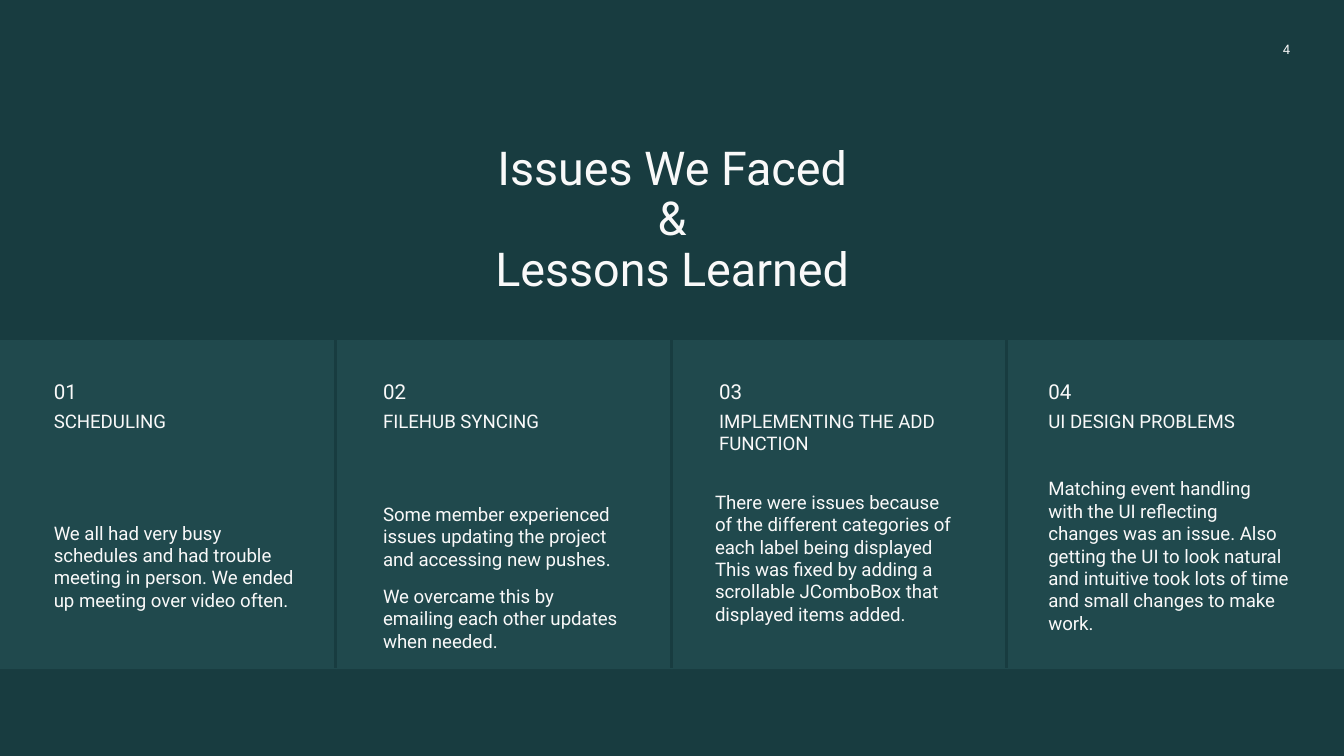
from pptx import Presentation
from pptx.dml.color import RGBColor
from pptx.enum.shapes import MSO_CONNECTOR as Link, MSO_SHAPE as Shape
from pptx.enum.text import MSO_ANCHOR as Anchor, PP_ALIGN as Align
from pptx.oxml.ns import qn
from pptx.util import Inches, Pt
from lxml.etree import SubElement

DARK = RGBColor(0x18, 0x3C, 0x40)
TEAL = RGBColor(0x20, 0x49, 0x4D)
WHITE = RGBColor(0xF9, 0xF9, 0xF9)
WIDE = 10
HIGH = WIDE * 9 / 16
TOP, TALL = 2.53, 2.45
PANEL = 2.51
STEP = (WIDE - PANEL) / 3
TEXT = 1.79
TITLE = ["Issues We Faced", "&", "Lessons Learned"]
ITEMS = [
    ("SCHEDULING", 0.4, 0.4, 3.88,
     ["We all had very busy schedules and had trouble meeting in person. "
      "We ended up meeting over video often."]),
    ("FILEHUB SYNCING", 2.85, 2.85, 3.74,
     ["Some member experienced issues updating the project and accessing new pushes.",
      "We overcame this by emailing each other updates when needed."]),
    ("IMPLEMENTING THE ADD FUNCTION", 5.35, 5.32, 3.65,
     ["There were issues because of the different categories of each label being "
      "displayed This was fixed by adding a scrollable JComboBox that displayed items added."]),
    ("UI DESIGN PROBLEMS", 7.8, 7.8, 3.55,
     ["Matching event handling with the UI reflecting changes was an issue. Also getting "
      "the UI to look natural and intuitive took lots of time and small changes to make work."]),
]


def add_text(slide, box, lines, size, align=Align.LEFT, anchor=Anchor.TOP, lead=1.0, gap=0):
    """Add a text box without margins, one paragraph per line."""
    frame = slide.shapes.add_textbox(*map(Inches, box)).text_frame
    frame.word_wrap = True
    frame.vertical_anchor = anchor
    frame.margin_left = frame.margin_right = frame.margin_top = frame.margin_bottom = 0
    frame.text = "\n".join(lines)
    for i, par in enumerate(frame.paragraphs):
        par.alignment, par.line_spacing = align, lead
        par.space_before = Pt(gap if i else 0)
        par.space_after = Pt(gap if i == len(lines) - 1 else 0)
        par.font.name, par.font.size = "Roboto", Pt(size)
        par.font.color.rgb = WHITE


def add_panel(slide, col):
    """Add the background panel of one column."""
    box = (col * STEP, TOP, PANEL, TALL)
    panel = slide.shapes.add_shape(Shape.RECTANGLE, *map(Inches, box))
    panel.shadow.inherit = False
    panel.fill.solid()
    panel.fill.fore_color.rgb = TEAL
    panel.line.fill.background()


def add_rule(slide, col):
    """Add the line on the left edge of one column."""
    ends = (col * STEP, TOP - 0.02, col * STEP, TOP + TALL - 0.01)
    rule = slide.shapes.add_connector(Link.STRAIGHT, *map(Inches, ends))
    rule.line.color.rgb = DARK
    rule.line.width = Pt(1.5)
    SubElement(rule._element.spPr, qn("a:effectLst"))


def add_item(slide, num, name, left, edge, top, body):
    """Add the number, heading and body of one column."""
    add_text(slide, (left, 2.83, TEXT, 0.17), [f"{num:02}"], 11, anchor=Anchor.BOTTOM)
    add_text(slide, (left, 3.05, TEXT, 0.17), [name], 10)
    add_text(slide, (edge, top, TEXT, 0.74), body, 10, gap=8)


def main():
    """Build the slide and save it."""
    deck = Presentation()
    deck.slide_width, deck.slide_height = Inches(WIDE), Inches(HIGH)
    slide = deck.slides.add_slide(deck.slide_layouts[6])
    slide.background.fill.solid()
    slide.background.fill.fore_color.rgb = DARK
    for col in range(4):
        add_panel(slide, col)
    for col in range(1, 4):
        add_rule(slide, col)
    for num, item in enumerate(ITEMS, 1):
        add_item(slide, num, *item)
    add_text(slide, (1.54, 1.08, 6.92, 0.64), TITLE, 25, Align.CENTER, lead=0.9)
    add_text(slide, (9, 0.24, 0.6, 0.26), ["4"], 7, Align.RIGHT, Anchor.MIDDLE)
    deck.save("out.pptx")


if __name__ == "__main__":
    main()
